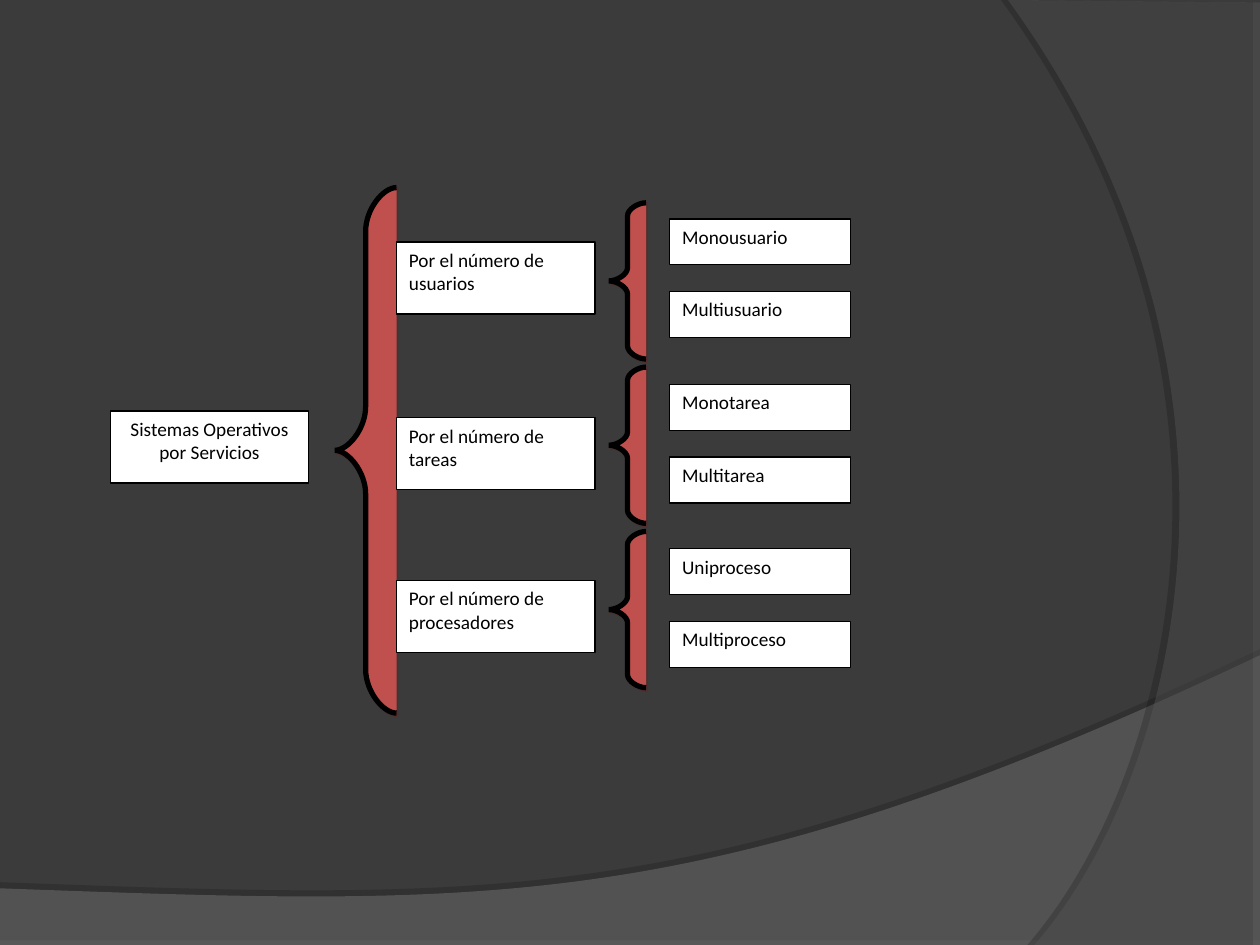
from typing import NamedTuple

from lxml import etree
from pptx import Presentation
from pptx.dml.color import RGBColor
from pptx.enum import shapes, text
from pptx.oxml import ns
from pptx.util import Pt

COLORS = {
    "background": "3B3B3B",
    "wave": "7C7C7C",
    "side": "595959",
    "brace": "C0504D",
    "brace_shadow": "622423",
    "box": "FFFFFF",
    "ink": "000000",
}
BRACE_LEFT, BRACE_WIDTH, BRACE_HEIGHT, BRACE_BEND = 348, 21.2, 89.3, 7.5
BOX_WIDTH, BOX_HEIGHT = 113.5, 41.2
CATEGORY_LEFT = 226.6
LEAF_LEFT, LEAF_WIDTH, LEAF_HEIGHT = 382.7, 103.2, 26.3
LEAF_PITCH = 41.5

Point = tuple[float, float]
Segment = list[Point]  # one point for a line, three for a cubic curve


class Shadow(NamedTuple):
    color: str
    alpha: int
    distance: float
    direction: int


class Backdrop(NamedTuple):
    start: Point
    segments: list[Segment]
    color: str
    alpha: int
    shadow: Shadow


class Category(NamedTuple):
    label: str
    top: float
    brace_top: float
    leaf_top: float
    leaves: tuple[str, str]


BACKDROPS = [
    Backdrop((0, 507.6),
             [[(0, 540.7)], [(720, 540.7)], [(720, 374.4)],
              [(402.5, 525), (281.5, 517.7), (0, 507.6)]],
             "wave", 45, Shadow("ink", 35, 3.5, 270)),
    Backdrop((720, 1.4),
             [[(720, 540)], [(591.1, 540)],
              [(673.2, 445.7), (733, 216), (576, 0)], [(720, 1.4)]],
             "side", 40, Shadow("ink", 45, 4, 180)),
]
CATEGORIES = [
    Category("Por el número de usuarios", 138.3, 115.9, 125.1,
             ("Monousuario", "Multiusuario")),
    Category("Por el número de tareas", 238.7, 209.8, 219.7,
             ("Monotarea", "Multitarea")),
    Category("Por el número de procesadores", 331.7, 303.7, 313.5,
             ("Uniproceso", "Multiproceso")),
]
BRACE_SHADOW = Shadow("brace_shadow", 50, 1.4, 45)


def rgb(name: str) -> RGBColor:
    return RGBColor.from_string(COLORS[name])


def add_alpha(color_element, percent: int) -> None:
    etree.SubElement(color_element, ns.qn("a:alpha"), val=str(percent * 1000))


def add_shadow(shape, shadow: Shadow) -> None:
    shape.shadow.inherit = False
    effects = shape.element.spPr.find(ns.qn("a:effectLst"))
    outer = etree.SubElement(
        effects, ns.qn("a:outerShdw"), blurRad="0", dist=str(Pt(shadow.distance)),
        dir=str(shadow.direction * 60000), algn="ctr", rotWithShape="0")
    color = etree.SubElement(outer, ns.qn("a:srgbClr"), val=COLORS[shadow.color])
    add_alpha(color, shadow.alpha)


def add_curved_shape(slide, start: Point, segments: list[Segment], fill: str,
                     close: bool):
    """Draw a freeform through the segment ends, then bend the cubic segments."""
    builder = slide.shapes.build_freeform(Pt(start[0]), Pt(start[1]))
    ends = [(Pt(x), Pt(y)) for x, y in (segment[-1] for segment in segments)]
    builder.add_line_segments(ends, close=close)
    shape = builder.convert_to_shape()
    lines = list(shape.element.spPr.iter(ns.qn("a:lnTo")))
    for line, segment in zip(lines, segments):
        if len(segment) == 1:
            continue
        line.tag = ns.qn("a:cubicBezTo")
        for index, (x, y) in enumerate(segment[:-1]):
            control = etree.Element(ns.qn("a:pt"), x=str(Pt(x) - shape.left),
                                    y=str(Pt(y) - shape.top))
            line.insert(index, control)
    shape.fill.solid()
    shape.fill.fore_color.rgb = rgb(fill)
    return shape


def outline(shape, width: float) -> None:
    shape.line.color.rgb = rgb("ink")
    shape.line.width = Pt(width)


def add_backdrop(slide, backdrop: Backdrop) -> None:
    area = add_curved_shape(slide, backdrop.start, backdrop.segments, backdrop.color, True)
    add_alpha(area.element.spPr.find(".//" + ns.qn("a:srgbClr")), backdrop.alpha)
    area.line.fill.background()
    add_shadow(area, backdrop.shadow)


def add_brace(slide, left: float, top: float, width: float, height: float,
              bend: float) -> None:
    right, stem = left + width, left + width / 2
    middle, bottom = top + height / 2, top + height
    near, far = left + width * 0.22, left + width * 0.78
    half = bend / 2
    brace = add_curved_shape(slide, (right, top), [
        [(far, top), (stem, top + half), (stem, top + bend)],
        [(stem, middle - bend)],
        [(stem, middle - half), (near, middle), (left, middle)],
        [(near, middle), (stem, middle + half), (stem, middle + bend)],
        [(stem, bottom - bend)],
        [(stem, bottom - half), (far, bottom), (right, bottom)],
    ], "brace", False)
    outline(brace, 3)
    etree.SubElement(brace.element.spPr.find(ns.qn("a:ln")), ns.qn("a:miter"), lim="800000")
    add_shadow(brace, BRACE_SHADOW)


def add_box(slide, label: str, left: float, top: float, width: float = BOX_WIDTH,
            height: float = BOX_HEIGHT, align=text.PP_ALIGN.LEFT) -> None:
    box = slide.shapes.add_shape(shapes.MSO_SHAPE.RECTANGLE, Pt(left), Pt(top),
                                 Pt(width), Pt(height))
    box.fill.solid()
    box.fill.fore_color.rgb = rgb("box")
    outline(box, 0.75)
    box.shadow.inherit = False
    frame = box.text_frame
    frame.word_wrap = True
    frame.vertical_anchor = text.MSO_ANCHOR.TOP
    paragraph = frame.paragraphs[0]
    paragraph.text = label
    paragraph.alignment = align
    paragraph.space_after = Pt(10)
    paragraph.font.name = "Calibri"
    paragraph.font.size = Pt(11)
    paragraph.font.color.rgb = rgb("ink")


def add_category(slide, category: Category) -> None:
    add_box(slide, category.label, CATEGORY_LEFT, category.top)
    add_brace(slide, BRACE_LEFT, category.brace_top, BRACE_WIDTH, BRACE_HEIGHT, BRACE_BEND)
    for row, leaf in enumerate(category.leaves):
        add_box(slide, leaf, LEAF_LEFT, category.leaf_top + row * LEAF_PITCH,
                LEAF_WIDTH, LEAF_HEIGHT)


def main() -> None:
    deck = Presentation()
    deck.slide_width, deck.slide_height = Pt(720), Pt(540)
    slide = deck.slides.add_slide(deck.slide_layouts.get_by_name("Blank"))
    slide.background.fill.solid()
    slide.background.fill.fore_color.rgb = rgb("background")
    for backdrop in BACKDROPS:
        add_backdrop(slide, backdrop)
    add_brace(slide, 191.3, 107.2, 35.3, 300.3, 25)
    add_box(slide, "Sistemas Operativos por Servicios", 63, 234.8,
            align=text.PP_ALIGN.CENTER)
    for category in CATEGORIES:
        add_category(slide, category)
    deck.save("out.pptx")


if __name__ == "__main__":
    main()
